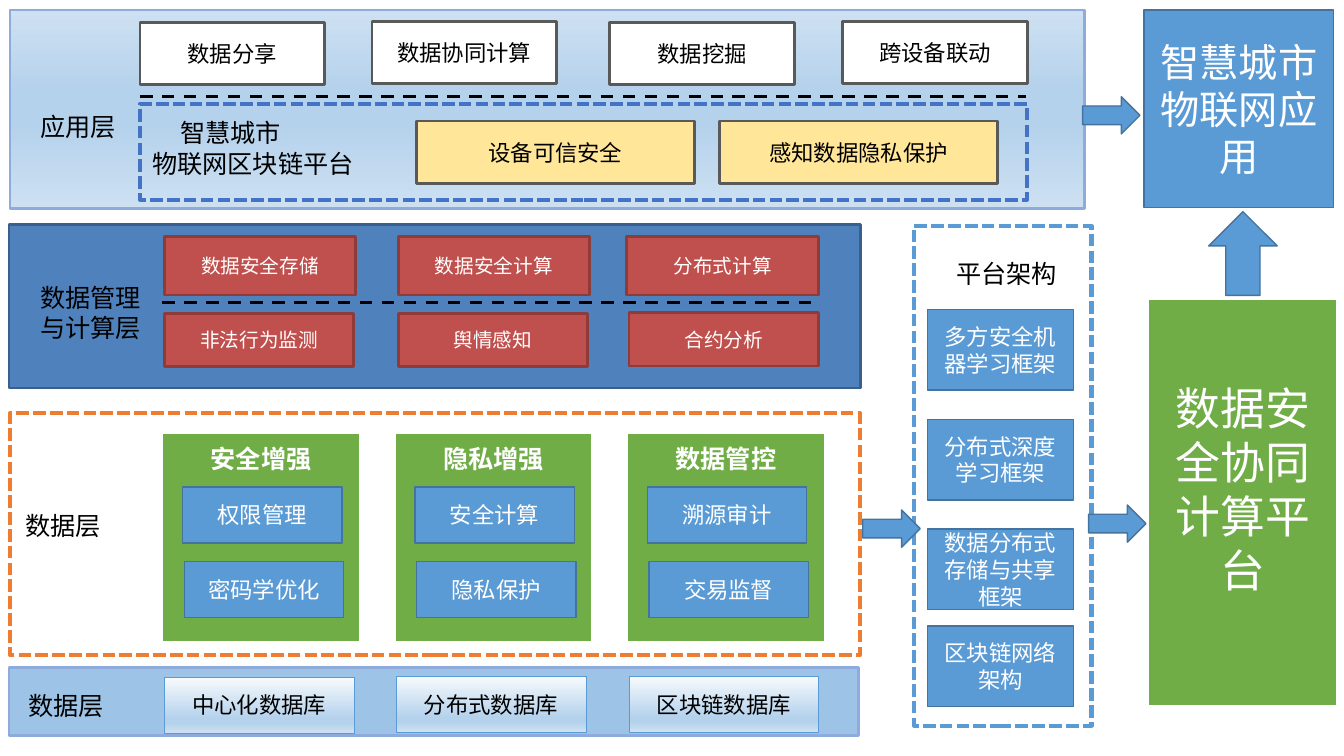
"""Build the layered architecture slide of a smart-city IoT blockchain platform."""
from lxml import etree
from pptx import Presentation
from pptx.dml.color import RGBColor
from pptx.enum import dml, lang, shapes, text
from pptx.oxml import ns
from pptx.util import Pt

HEX = {"white": "FFFFFF", "black": "000000", "blue": "5B9BD5", "edge": "43739E",
       "navy": "4F81BD", "deep": "3A5F8C", "red": "C0504D", "wine": "8E3B39",
       "pale": "9DC3E6", "rim": "8FAADC", "grey": "595959", "cream": "FFE699",
       "green": "70AD47", "orange": "ED7D31", "royal": "4472C4",
       "mist": "F7FAFD", "sky": "B5D2EC", "haze": "CEE1F2"}
FADES = {"app": [(1, "sky", 65), (40, "sky", 100), (59, "sky", 100), (100, "haze", 100)],
         "base": [(0, "mist", 100), (74, "sky", 100), (83, "sky", 100), (100, "haze", 100)]}

# style: fill, line, line width, dashed, font, size, text colour
LOOKS = {
    "manage": ("navy", "deep", 2, False, "Arial", 18, "white"),
    "app": ("app", "rim", 2, False, "Arial", 18, "black"),
    "store": ("pale", "rim", 2, False, "Arial", 18, "black"),
    "data": (None, "orange", 3, True, "Arial", 18, "black"),
    "frame": (None, "blue", 3, True, "Arial", 18, "black"),
    "chain": (None, "royal", 3, True, "Arial", 18, "black"),
    "use": ("white", "grey", 2, False, "DejaVu Sans", 16, "black"),
    "trust": ("cream", "grey", 2, False, "DejaVu Sans", 16, "black"),
    "task": ("red", "wine", 2, False, "Arial", 14, "white"),
    "base": ("base", "blue", 0.25, False, "DejaVu Sans", 16, "black"),
    "group": ("green", "white", 1.5, False, "Arial", 18, "white"),
    "item": ("blue", "edge", 1, False, "Arial", 16, "white"),
    "goal": ("blue", "edge", 1, False, "Arial", 28, "white"),
    "hub": ("green", "white", 1.5, False, "Arial", 32, "white"),
}
PANELS = [
    ("manage", 6.5, 160.6, 608.4, 116.6),
    ("app", 7.2, 7.2, 767.5, 141.8),
    ("store", 6.5, 476.6, 607, 49),
    ("data", 7.2, 295.2, 607, 172.8),
    ("frame", 653, 161.3, 126.7, 357.1),
    ("chain", 100, 74.2, 633.6, 68.4),
]
# style, box width, box height, then (left, top, words) for each box
ROWS = [
    ("use", 131.8, 44.6, [(100, 15.8, "数据分享"), (265.7, 15.1, "数据协同计算"),
                          (435.6, 15.8, "数据挖掘"), (602, 15.1, "跨设备联动")]),
    ("trust", 198.7, 44.6, [(297.4, 86.4, "设备可信安全"), (514, 86.4, "感知数据隐私保护")]),
    ("task", 136.8, 41.6, [(117.4, 169.2, "数据安全存储"), (284.4, 169.2, "数据安全计算"),
                           (447.8, 169.2, "分布式计算")]),
    ("task", 135.4, 38, [(117.4, 223.8, "非法行为监测"), (284.4, 223.8, "舆情感知"),
                         (449.3, 223.4, "合约分析")]),
    ("base", 135.4, 39.6, [(117.4, 483.8, "中心化数据库"), (283, 483.1, "分布式数据库"),
                           (449.3, 483.1, "区块链数据库")]),
    ("item", 104.4, 57.6, [(662.4, 221, "多方安全机器学习框架"), (662.4, 299.5, "分布式深度学习框架"),
                           (662.4, 378, "数据分布式存储与共享框架"), (662.4, 447.1, "区块链网络架构")]),
    ("goal", 135.4, 141.1, [(817.2, 7.2, "智慧城市物联网应用")]),
]
GROUPS = [("安全增强", "权限管理", "密码学优化"),
          ("隐私增强", "安全计算", "隐私保护"),
          ("数据管控", "溯源审计", "交易监督")]
LABELS = [
    (21.6, 198, 87.1, 51.1, ["数据管理", "与计算层"], 0),
    (21.6, 76.3, 102.2, 28.8, ["应用层"], 0),
    (13, 489.6, 136.8, 28.8, ["数据层"], 0),
    (10.8, 360.7, 197.3, 28.8, ["数据层"], 0),
    (676, 180.7, 91.4, 28.8, ["平台架构"], 0),
    (101.5, 80.6, 178.6, 51.1, ["智慧城市", "物联网区块链平台"], 20),
]
SHAPE = shapes.MSO_SHAPE
ARROWS = [(SHAPE.RIGHT_ARROW, 616.3, 364.3, 41, 26.6),
          (SHAPE.RIGHT_ARROW, 777.6, 360.7, 41, 26.6),
          (SHAPE.RIGHT_ARROW, 773.3, 69.1, 41, 26.6),
          (SHAPE.UP_ARROW, 863.3, 151.2, 49, 59.8)]
RULES = [(116, 586, 216), (100, 733, 69.1)]

deck = Presentation()
deck.slide_width, deck.slide_height = Pt(960), Pt(540)
slide = deck.slides.add_slide(deck.slide_layouts[6])


def rgb(name):
    return RGBColor.from_string(HEX[name])


def fade(shape, stops):
    shape.fill.gradient()
    shape.fill.gradient_angle = 270
    grad = shape._element.spPr.find(ns.qn("a:gradFill"))
    bag = grad.find(ns.qn("a:gsLst"))
    for old in list(bag):
        bag.remove(old)
    for spot, name, solid in stops:
        stop = etree.SubElement(bag, ns.qn("a:gs"), pos=str(spot * 1000))
        tint = etree.SubElement(stop, ns.qn("a:srgbClr"), val=HEX[name])
        if solid < 100:
            etree.SubElement(tint, ns.qn("a:alpha"), val=str(solid * 1000))


def write(para, words, face, size, color, bold=False):
    para.text = words
    font = para.font
    font.name, font.size, font.bold = face, Pt(size), bold
    font.color.rgb = rgb(color)
    for run in para.runs:
        run.font.language_id = lang.MSO_LANGUAGE_ID.SIMPLIFIED_CHINESE


def box(look, x, y, w, h, words="", form=SHAPE.RECTANGLE, bold=False):
    fill, edge, width, dashed, face, size, color = LOOKS[look]
    shape = slide.shapes.add_shape(form, Pt(x), Pt(y), Pt(w), Pt(h))
    shape.shadow.inherit = False
    if fill in FADES:
        fade(shape, FADES[fill])
    elif fill:
        shape.fill.solid()
        shape.fill.fore_color.rgb = rgb(fill)
    else:
        shape.fill.background()
    shape.line.color.rgb = rgb(edge)
    shape.line.width = Pt(width)
    if dashed:
        shape.line.dash_style = dml.MSO_LINE.SQUARE_DOT
    if words:
        frame = shape.text_frame
        frame.word_wrap = True
        frame.vertical_anchor = text.MSO_ANCHOR.MIDDLE
        para = frame.paragraphs[0]
        para.alignment = text.PP_ALIGN.CENTER
        write(para, words, face, size, color, bold)
    return shape


def label(x, y, w, h, lines, dent):
    frame = slide.shapes.add_textbox(Pt(x), Pt(y), Pt(w), Pt(h)).text_frame
    frame.word_wrap = True
    for i, words in enumerate(lines):
        para = frame.add_paragraph() if i else frame.paragraphs[0]
        if dent and not i:
            para._p.get_or_add_pPr().set("marL", str(Pt(dent)))
        write(para, words, "Noto Sans CJK SC", 18, "black")


for panel in PANELS:
    box(*panel)
for look, w, h, cells in ROWS:
    for x, y, words in cells:
        box(look, x, y, w, h, words)
for i, (head, *items) in enumerate(GROUPS):
    x = 116 + 166 * i
    frame = box("group", x, 309.4, 141.1, 149, head, bold=True).text_frame
    frame.vertical_anchor = text.MSO_ANCHOR.TOP
    frame.margin_top = Pt(7.5)
    for j, words in enumerate(items):
        box("item", x + 14.4 + 1.2 * j, 347.8 + 53.3 * j, 113.8, 40, words)
hub = box("hub", 820, 213.8, 135.4, 290.9, "数据安全协同计算平台")
hub.text_frame.margin_bottom = Pt(24)
for item in LABELS:
    label(*item)
for form, *area in ARROWS:
    box("item", *area, form=form)
for left, right, y in RULES:
    rule = slide.shapes.add_connector(shapes.MSO_CONNECTOR.STRAIGHT,
                                      Pt(left), Pt(y), Pt(right), Pt(y))
    rule.line.color.rgb = rgb("black")
    rule.line.width = Pt(2.25)
    rule.line.dash_style = dml.MSO_LINE.DASH
    etree.SubElement(rule._element.spPr, ns.qn("a:effectLst"))

deck.save("out.pptx")
